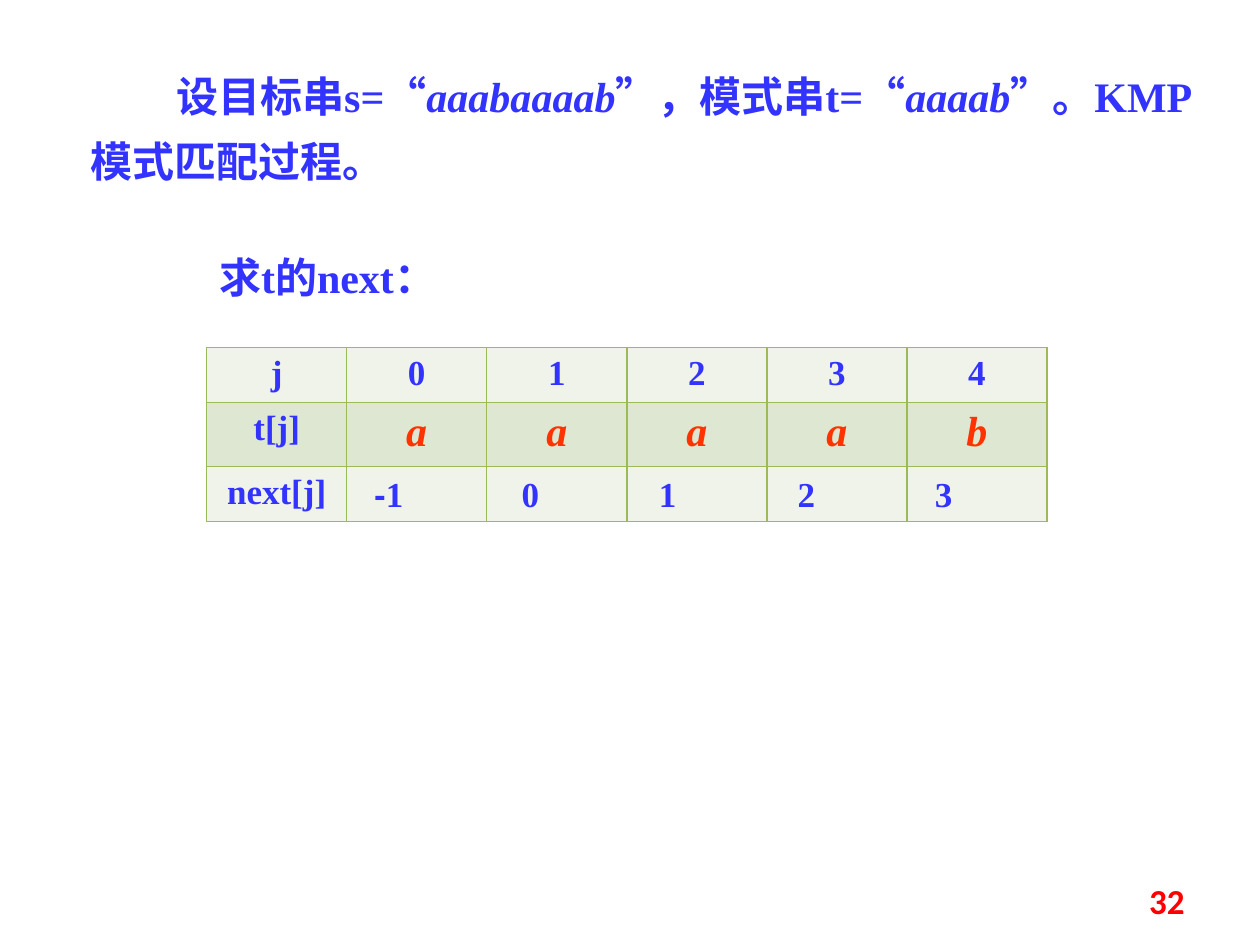
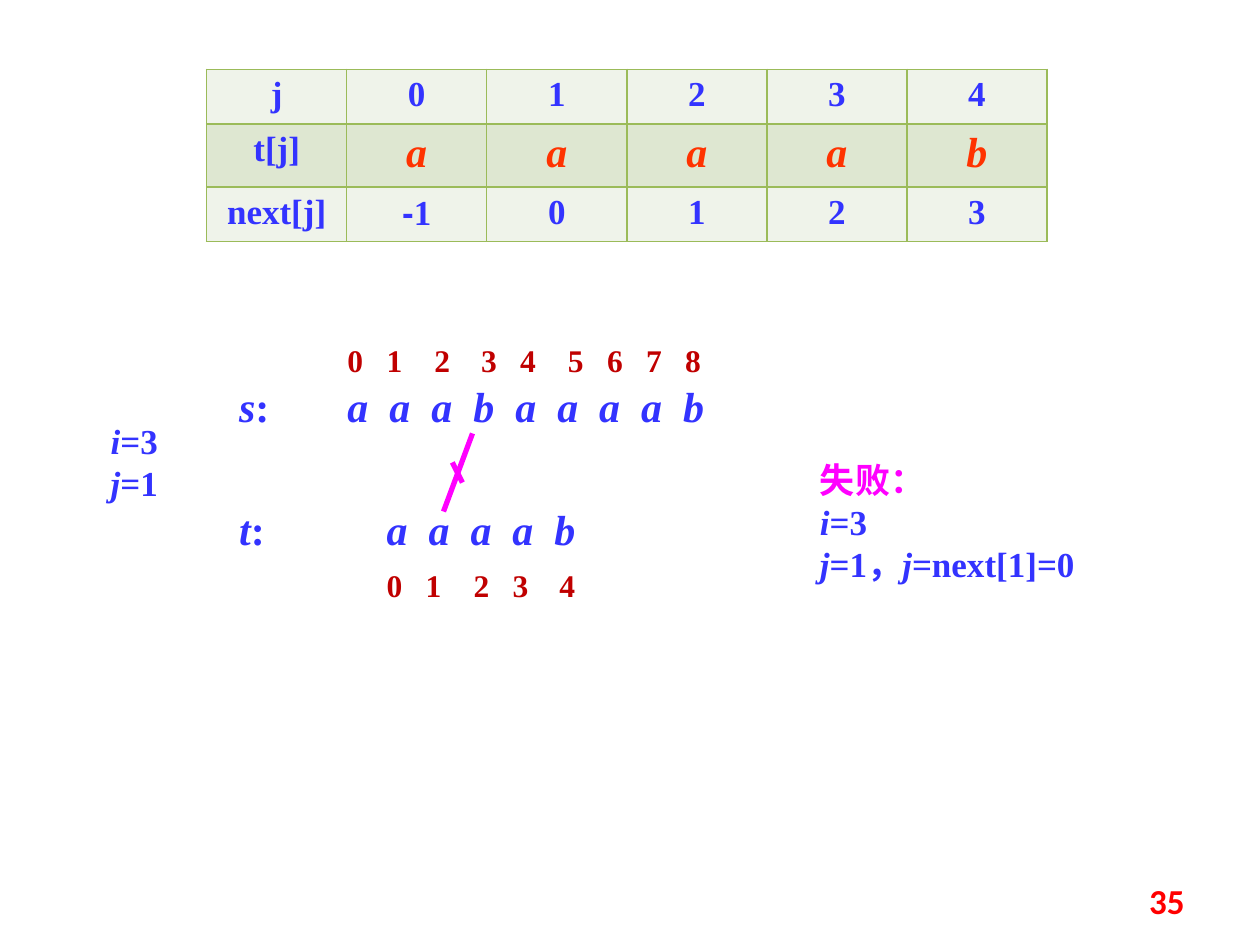
from pptx import Presentation
from pptx.dml.color import RGBColor
from pptx.enum.shapes import MSO_CONNECTOR
from pptx.enum.text import MSO_ANCHOR, PP_ALIGN
from pptx.oxml.ns import qn
from pptx.util import Inches, Pt
from lxml.etree import SubElement

BLUE = RGBColor(0x33, 0x33, 0xFF)
ORANGE = RGBColor(0xFF, 0x33, 0x00)
RED = RGBColor(0xFF, 0x00, 0x00)
DARK_RED = RGBColor(0xC0, 0x00, 0x00)
MAGENTA = RGBColor(0xFF, 0x00, 0xFF)
PALE_GREEN = RGBColor(0xEF, 0xF3, 0xEA)
SOFT_GREEN = RGBColor(0xDE, 0xE7, 0xD1)
BORDER_GREEN = RGBColor(0x9B, 0xBB, 0x59)

LATIN, CHINESE, SIGN, NUMBER = "Times New Roman", "Noto Sans CJK SC", "Arial", "Calibri"

PATTERN = "aaaab"
TARGET = "aaabaaaab"
NEXT_VALUES = ["-**1", "0", "1", "2", "3"]
LETTER_PITCH = 0.333


# Text: pieces between asterisks are italic, a lone minus sign is set in Arial
def write(paragraph, marked, size=20, color=BLUE, font=LATIN):
    for index, piece in enumerate(marked.split("*")):
        if not piece:
            continue
        run = paragraph.add_run()
        run.text = piece
        run.font.name = SIGN if piece == "-" else font
        run.font.size = Pt(size)
        run.font.bold = True
        run.font.italic = index % 2 == 1
        run.font.color.rgb = color
        east_asian = SubElement(run.font._element, qn("a:ea"))
        east_asian.set("typeface", CHINESE)


def add_lines(slide, box, lines, size=20, color=BLUE, font=LATIN, inset=True):
    frame = slide.shapes.add_textbox(*map(Inches, box)).text_frame
    frame.word_wrap = True
    if not inset:
        frame.margin_left = frame.margin_right = 0
        frame.margin_top = frame.margin_bottom = 0
    for index, line in enumerate(lines):
        paragraph = frame.add_paragraph() if index else frame.paragraphs[0]
        write(paragraph, line, size, color, font)
    return frame


def add_tabbed(slide, box, symbols, stops, size, color, italic=False):
    """Set one symbol at the left edge and each further one at a tab stop."""
    frame = add_lines(slide, box, [], size)
    paragraph = frame.paragraphs[0]
    tabs = SubElement(paragraph._p.get_or_add_pPr(), qn("a:tabLst"))
    for stop in stops:
        tab = SubElement(tabs, qn("a:tab"))
        tab.set("pos", str(Inches(stop)))
        tab.set("algn", "l")
    row = "\t".join(symbols)
    write(paragraph, f"*{row}*" if italic else row, size, color)


def add_page_number(slide, number):
    frame = add_lines(slide, (7.17, 6.95, 2.33, 0.4), [str(number)], 20, RED, NUMBER)
    frame.vertical_anchor = MSO_ANCHOR.MIDDLE
    frame.paragraphs[0].alignment = PP_ALIGN.RIGHT


# Table of the next function
def set_borders(cell):
    properties = cell._tc.get_or_add_tcPr()
    for index, side in enumerate(("a:lnL", "a:lnR", "a:lnT", "a:lnB")):
        line = properties.makeelement(qn(side), {"w": str(Pt(1))})
        fill = SubElement(line, qn("a:solidFill"))
        SubElement(fill, qn("a:srgbClr")).set("val", str(BORDER_GREEN))
        properties.insert(index, line)


def add_next_table(slide, top, row_heights, next_values):
    rows = [
        ["j", *map(str, range(len(PATTERN)))],
        ["t[j]", *(f"*{letter}*" for letter in PATTERN)],
        ["next[j]", *next_values],
    ]
    table = slide.shapes.add_table(
        len(rows), len(rows[0]), Inches(1.64), Inches(top),
        Inches(6.67), Inches(sum(row_heights))).table
    table.first_row = table.horz_banding = False
    for column in table.columns:
        column.width = Inches(6.67 / len(rows[0]))
    for r, (values, height) in enumerate(zip(rows, row_heights)):
        table.rows[r].height = Inches(height)
        for c, value in enumerate(values):
            cell = table.cell(r, c)
            cell.fill.solid()
            cell.fill.fore_color.rgb = SOFT_GREEN if r == 1 else PALE_GREEN
            set_borders(cell)
            paragraph = cell.text_frame.paragraphs[0]
            paragraph.alignment = PP_ALIGN.CENTER
            is_letter = r == 1 and c > 0
            if value:
                write(paragraph, value, 24 if is_letter else 20,
                      ORANGE if is_letter else BLUE)
            else:
                paragraph.font.size = Pt(20)


# Matching diagram: a labelled string with its indices
def add_string(slide, label, letters, left, top, index_top, index_stops):
    add_lines(slide, (1.8, top, 0.7, 0.5), [f"*{label}*:"], 24)
    width = len(letters) * LETTER_PITCH + 0.4
    letter_stops = [LETTER_PITCH * n for n in range(1, len(letters))]
    add_tabbed(slide, (left, top, width, 0.5), letters, letter_stops,
               24, BLUE, italic=True)
    add_tabbed(slide, (left, index_top, width, 0.4),
               [str(n) for n in range(len(letters))], index_stops, 18, DARK_RED)


def add_mismatch_mark(slide, left, top):
    strokes = [((0.23, 0), (0, 0.62)), ((0.07, 0.23), (0.15, 0.39))]
    mark = slide.shapes.add_group_shape()
    for (x1, y1), (x2, y2) in strokes:
        stroke = mark.shapes.add_connector(
            MSO_CONNECTOR.STRAIGHT, Inches(left + x1), Inches(top + y1),
            Inches(left + x2), Inches(top + y2))
        stroke.line.color.rgb = MAGENTA
        stroke.line.width = Pt(3)
        SubElement(stroke._element.spPr, qn("a:effectLst"))


# Slides
def build_problem_slide(slide):
    problem = add_lines(
        slide, (0.62, 0.39, 9, 1.15),
        [f"设目标串s=“*{TARGET}*”，模式串t=“*{PATTERN}*”。KMP模式匹配过程。"], 24)
    statement = problem.paragraphs[0]
    statement.line_spacing = 1.3
    statement._p.get_or_add_pPr().set("indent", str(Inches(0.68)))

    add_next_table(slide, 2.76, (0.43, 0.51, 0.43), [""] * len(PATTERN))
    for left, value in zip((2.97, 4.14, 5.23, 6.33, 7.42), NEXT_VALUES):
        add_lines(slide, (left, 3.75, 0.63, 0.34), [value], inset=False)
    add_lines(slide, (1.64, 1.95, 2.34, 0.5), ["求t的next："], 24)
    add_page_number(slide, 32)


def build_matching_slide(slide):
    add_next_table(slide, 0.55, (0.41, 0.47, 0.41), NEXT_VALUES)
    add_string(slide, "s", TARGET, 2.66, 2.97, 2.66,
               (0.31, 0.69, 1.06, 1.37, 1.75, 2.06, 2.37, 2.68))
    add_string(slide, "t", PATTERN, 2.97, 3.95, 4.44, (0.31, 0.69, 1, 1.37))

    result = add_lines(slide, (6.41, 3.59, 2.5, 1.11), ["失败："], 20, MAGENTA, CHINESE)
    for line in ("*i*=3", "*j*=1，*j*=next[1]=0"):
        write(result.add_paragraph(), line)

    add_mismatch_mark(slide, 3.52, 3.44)
    add_lines(slide, (0.78, 3.28, 0.78, 0.77), ["*i*=3", "*j*=1"])
    add_page_number(slide, 35)


def main():
    deck = Presentation()
    deck.slide_width, deck.slide_height = Inches(10), Inches(7.5)
    blank = deck.slide_layouts[6]
    for build in (build_problem_slide, build_matching_slide):
        build(deck.slides.add_slide(blank))
    deck.save("out.pptx")


if __name__ == "__main__":
    main()
